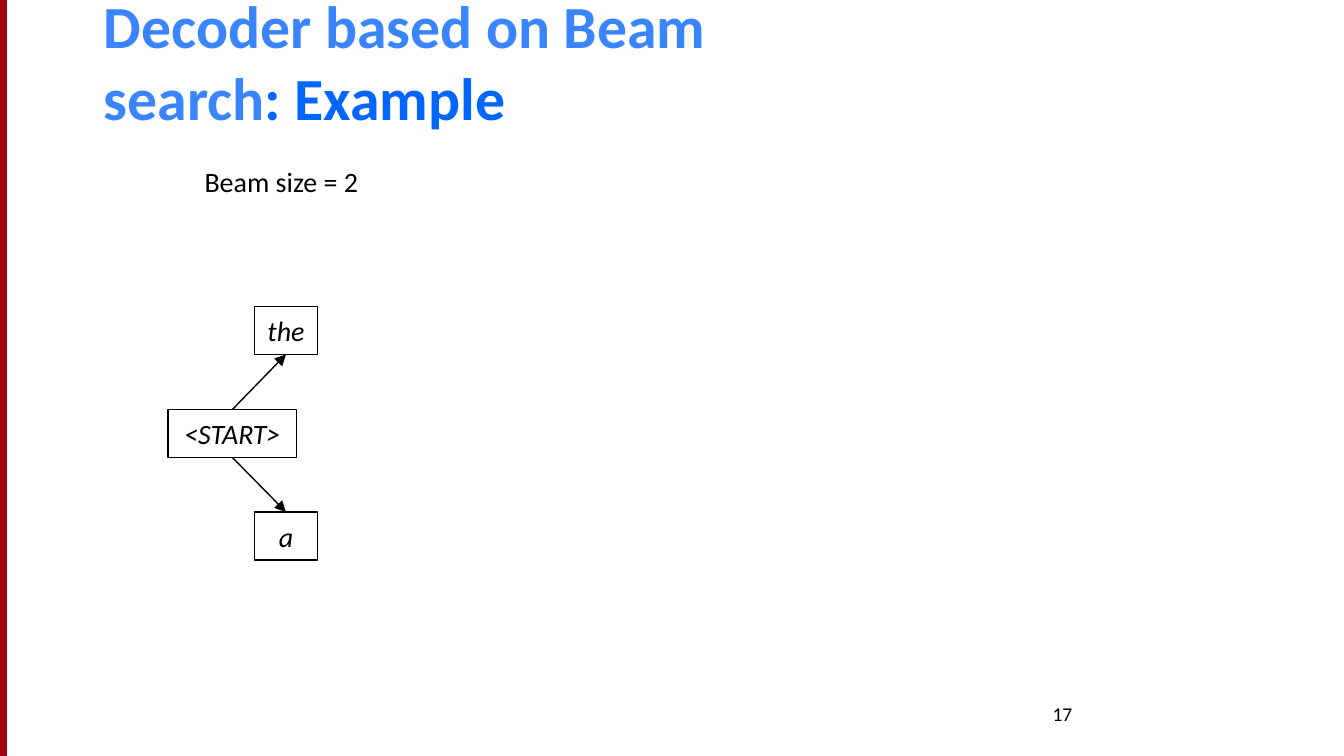
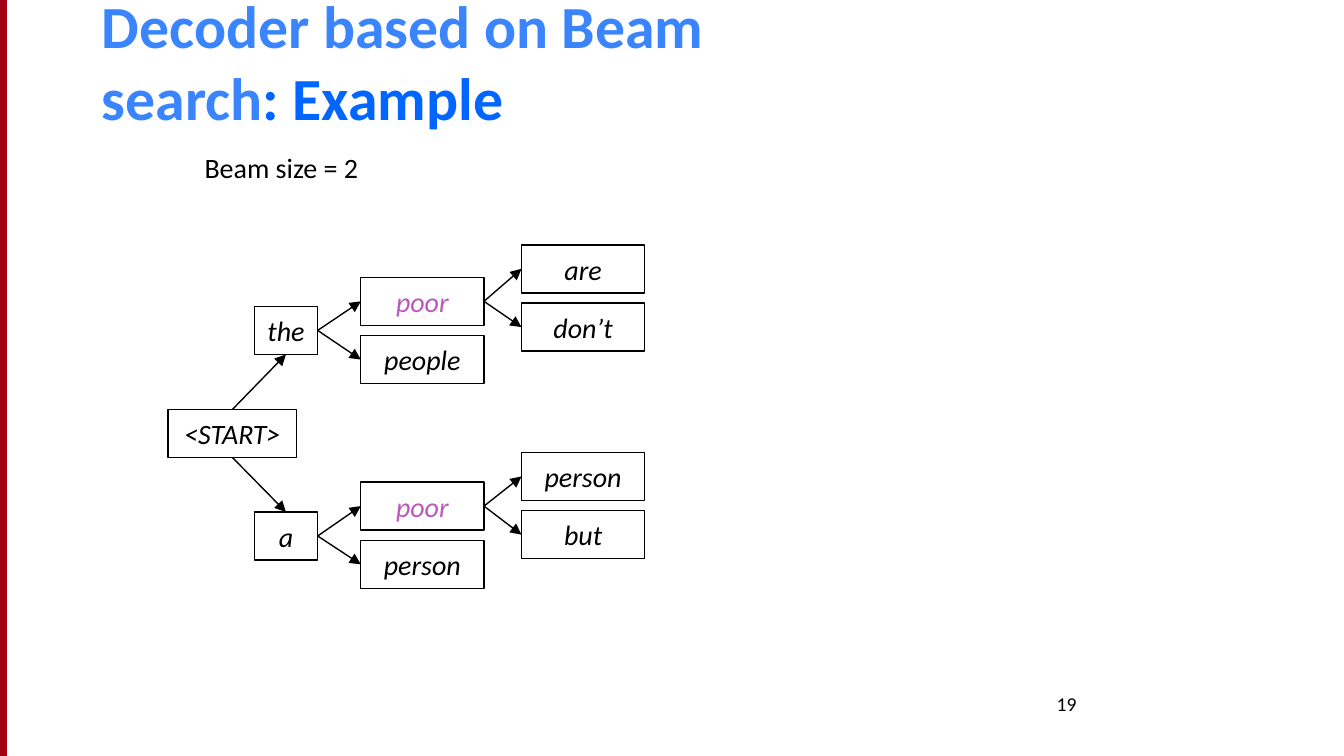
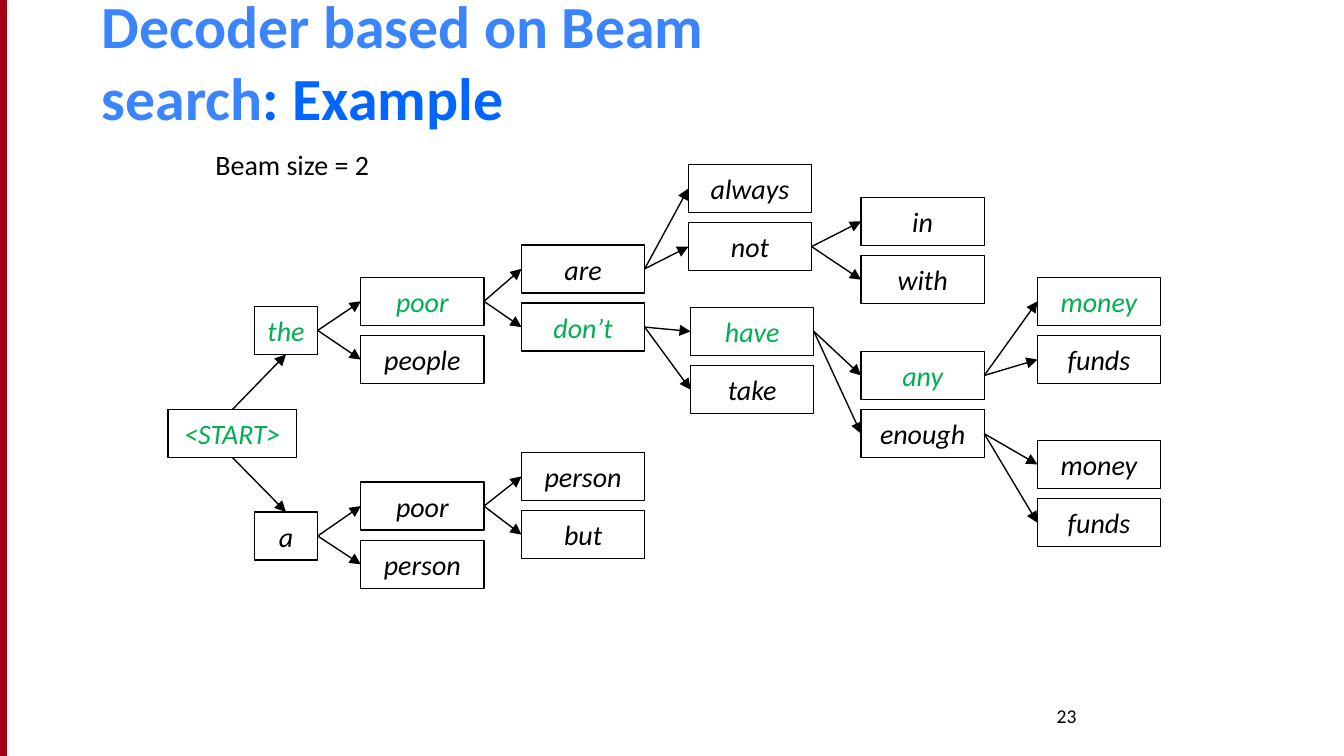
"""Build three slides that grow a beam search tree."""
from dataclasses import dataclass

from lxml import etree
from pptx import Presentation
from pptx.dml.color import RGBColor
from pptx.enum import shapes as sh, text as tx
from pptx.oxml.ns import qn
from pptx.util import Pt


@dataclass(frozen=True)
class Theme:
    font: str = "Calibri"
    black: str = "000000"
    pale: str = "3A85FE"
    blue: str = "0066FF"
    bar: str = "A40508"
    edge: str = "A4001D"
    pink: str = "BB57BE"
    green: str = "00B050"
    head: float = 32
    word: float = 15
    page: float = 10.5
    line: float = 0.75


T = Theme()
WIDE, HIGH = 720, 405
INSET = (5.2, 2.6)
BOX = (66, 25.7)
STEP = 31.2
ROOT = ("<START>", 90, 219.4, 69)
FIRST = [("the", 136.2, 164.2, 34), ("a", 136.2, 274.3, 34)]
HEAD = [("Decoder based on Beam search", T.pale), (": Example", T.blue)]
NOTE = "Beam size = 2"

PAIRS = [
    ("the", 193.3, 148.6, ("poor", "people")),
    ("a", 193.3, 258.3, ("poor", "person")),
    ("the poor", 279.4, 131.2, ("are", "don’t")),
    ("a poor", 279.4, 242.4, ("person", "but")),
    ("the poor are", 368.8, 88.1, ("always", "not")),
    ("the poor don’t", 370, 164.7, ("have", "take")),
    ("the poor are not", 461.3, 105.8, ("in", "with")),
    ("the poor don’t have", 461.3, 188.3, ("any", "enough")),
    ("the poor don’t have any", 555.8, 148.6, ("money", "funds")),
    ("the poor don’t have enough", 555.8, 236, ("money", "funds")),
]

BEST = "the poor don’t have any money".split()
PATH = [" ".join(BEST[:n + 1]) for n in range(len(BEST))]

SLIDES = [
    {"page": "17", "depth": 1, "head": 50.4, "note": (104.4, 85.7),
     "foot": (558.7, 373.7), "marks": {}},
    {"page": "19", "depth": 3, "head": 49.4, "note": (104.4, 77.8),
     "foot": (560.9, 367.9), "marks": dict.fromkeys(("the poor", "a poor"), T.pink)},
    {"page": "23", "depth": 6, "head": 49.4, "note": (110.2, 76.3),
     "foot": (560.9, 374.4), "marks": dict.fromkeys([ROOT[0], *PATH], T.green)},
]


def place(shape, left, top, wide, high):
    """Set the frame of a shape in points."""
    shape.left, shape.top, shape.width, shape.height = map(Pt, (left, top, wide, high))


def write(shape, runs, size, align=tx.PP_ALIGN.LEFT, anchor=tx.MSO_ANCHOR.TOP,
          wrap=True, bold=False, slant=False):
    """Fill a shape with one paragraph of coloured runs."""
    frame = shape.text_frame
    frame.auto_size = tx.MSO_AUTO_SIZE.NONE
    frame.word_wrap, frame.vertical_anchor = wrap, anchor
    frame.margin_left = frame.margin_right = Pt(INSET[0])
    frame.margin_top = frame.margin_bottom = Pt(INSET[1])
    para = frame.paragraphs[0]
    para.alignment = align
    for words, color in runs:
        run = para.add_run()
        run.text = words
        font = run.font
        font.name, font.size = T.font, Pt(size)
        font.bold, font.italic = bold, slant
        font.color.rgb = RGBColor.from_string(color)


def block(slide, left, top, wide, high, edge, fill=None):
    """Add a flat rectangle, hollow unless a fill is given."""
    shape = slide.shapes.add_shape(
        sh.MSO_SHAPE.RECTANGLE, *map(Pt, (left, top, wide, high)))
    shape.shadow.inherit = False
    if fill:
        shape.fill.solid()
        shape.fill.fore_color.rgb = RGBColor.from_string(fill)
    else:
        shape.fill.background()
    shape.line.color.rgb = RGBColor.from_string(edge)
    shape.line.width = Pt(T.line)
    return shape


def node(slide, word, left, top, wide, color):
    """Add a box that holds one word of the tree."""
    shape = block(slide, left, top, wide, BOX[1], T.black)
    write(shape, [(word, color)], T.word, tx.PP_ALIGN.CENTER,
          tx.MSO_ANCHOR.MIDDLE, wrap=False, slant=True)
    return shape


def arrow(slide, start, out, end, into):
    """Join two boxes, from site to site, with an arrow."""
    link = slide.shapes.add_connector(sh.MSO_CONNECTOR.STRAIGHT, 0, 0, 0, 0)
    link.begin_connect(start, out)
    link.end_connect(end, into)
    link.line.color.rgb = RGBColor.from_string(T.black)
    link.line.width = Pt(T.line)
    etree.SubElement(link.line._get_or_add_ln(), qn("a:tailEnd"), type="triangle")
    etree.SubElement(link._element.spPr, qn("a:effectLst"))


def label(slide, words, spot, wide, high, size):
    """Add a plain line of text."""
    box = slide.shapes.add_textbox(*map(Pt, (*spot, wide, high)))
    write(box, [(words, T.black)], size)


def tree(slide, depth, marks):
    """Draw the tree down to a depth, with marked words in colour."""
    def hue(key):
        return marks.get(key, T.black)

    root = node(slide, *ROOT, hue(ROOT[0]))
    nodes = {}
    for spot, (out, into) in zip(FIRST, ((0, 2), (2, 0))):
        key = spot[0]
        nodes[key] = node(slide, *spot, hue(key))
        arrow(slide, root, out, nodes[key], into)
    for stem, left, top, words in PAIRS:
        if len(stem.split()) >= depth:
            continue
        for row, word in enumerate(words):
            key = f"{stem} {word}"
            nodes[key] = node(slide, word, left, top + row * STEP, BOX[0], hue(key))
            arrow(slide, nodes[stem], 3, nodes[key], 1)


def build(deck, data):
    """Add one slide with its shared parts and its tree."""
    slide = deck.slides.add_slide(deck.slide_layouts[5])
    block(slide, 0, 0, 3.6, HIGH, T.edge, T.bar)
    title = slide.shapes.title
    place(title, data["head"], 0, 356.4, 73.4)
    write(title, HEAD, T.head, anchor=tx.MSO_ANCHOR.BOTTOM, bold=True)
    label(slide, NOTE, data["note"], 98, 26, T.word)
    label(slide, data["page"], data["foot"], 121.7, 21.6, T.page)
    tree(slide, data["depth"], data["marks"])


def main():
    """Build and save the deck."""
    deck = Presentation()
    deck.slide_width, deck.slide_height = Pt(WIDE), Pt(HIGH)
    for data in SLIDES:
        build(deck, data)
    deck.save("out.pptx")


if __name__ == "__main__":
    main()
